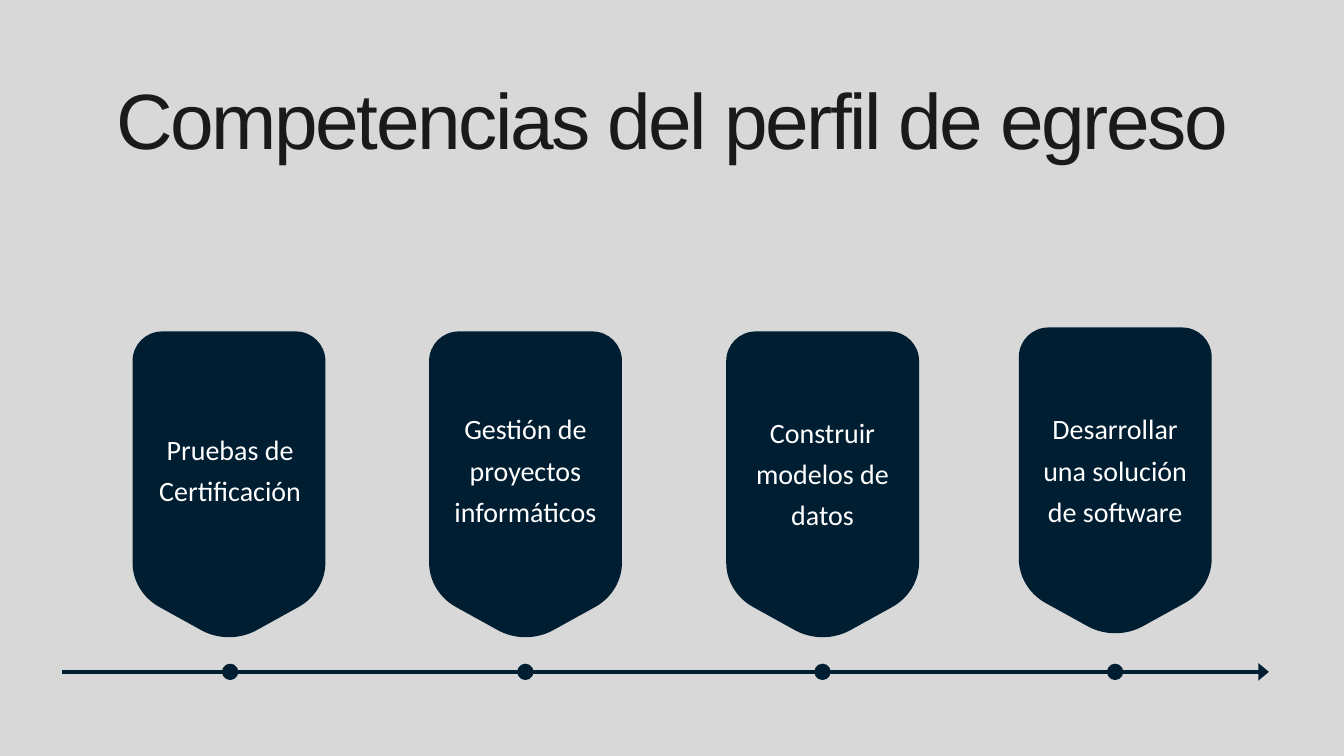
from dataclasses import dataclass

from lxml.etree import SubElement
from pptx import Presentation
from pptx.dml.color import RGBColor
from pptx.enum.shapes import MSO_CONNECTOR, MSO_SHAPE
from pptx.enum.text import PP_ALIGN
from pptx.oxml.ns import qn
from pptx.util import Cm, Pt


@dataclass(frozen=True)
class Theme:
    background: RGBColor = RGBColor(0xD8, 0xD8, 0xD8)
    navy: RGBColor = RGBColor(0x00, 0x1E, 0x32)
    title_format = {"name": "Arial", "size": Pt(84)}
    title_color: RGBColor = RGBColor(0x1A, 0x1A, 0x1A)
    label_format = {"name": "Calibri", "size": Pt(30)}
    label_color: RGBColor = RGBColor(0xFF, 0xFF, 0xFF)


THEME = Theme()
BADGE_WIDTH, BADGE_HEIGHT = 7.29, 11.56
DOT_SIZE = 0.62

# Text, badge left and top, centre of dot and label, label top, width and height
COMPETENCIES = [
    ("Pruebas de Certificación", 5.01, 12.53, 8.7, 16.05, 6.1, 3.02),
    ("Gestión de proyectos informáticos", 16.22, 12.53, 19.86, 15.29, 5.7, 4.55),
    ("Construir modelos de datos", 27.45, 12.53, 31.09, 15.43, 5.7, 4.55),
    ("Desarrollar una solución de software", 38.51, 12.38, 42.15, 15.29, 5.7, 4.55),
]


def paint(shape, color):
    shape.shadow.inherit = False
    shape.fill.solid()
    shape.fill.fore_color.rgb = color
    shape.line.fill.background()


def add_text(slide, box, text, font_format, color, line_spacing, tracking=None):
    text_box = slide.shapes.add_textbox(*map(Cm, box))
    frame = text_box.text_frame
    frame.word_wrap = True
    for side in ("left", "top", "right", "bottom"):
        setattr(frame, f"margin_{side}", 0)
    paragraph = frame.paragraphs[0]
    paragraph.alignment = PP_ALIGN.CENTER
    paragraph.line_spacing = Pt(line_spacing)
    run = paragraph.add_run()
    run.text = text
    for name, value in font_format.items():
        setattr(run.font, name, value)
    run.font.color.rgb = color
    if tracking:
        run._r.get_or_add_rPr().set("spc", str(tracking))


def add_curved_shape(slide, left, top, width, height, start, segments):
    """Closed outline; a segment of one point is a line, of three a curve."""
    builder = slide.shapes.build_freeform(Cm(left), Cm(top))
    builder.add_line_segments([(Cm(left + width), Cm(top)),
                               (Cm(left + width), Cm(top + height))])
    shape = builder.convert_to_shape()

    # Put the curved outline in the frame that the corners have set
    path = shape._element.spPr.find(".//" + qn("a:path"))
    for child in list(path):
        path.remove(child)
    commands = {1: "a:lnTo", 3: "a:cubicBezTo"}
    moves = [("a:moveTo", [start])]
    moves += [(commands[len(points)], points) for points in segments]
    for tag, points in moves:
        command = SubElement(path, qn(tag))
        for x, y in points:
            SubElement(command, qn("a:pt"), x=str(int(Cm(x))), y=str(int(Cm(y))))
    SubElement(path, qn("a:close"))
    return shape


def add_badge(slide, left, top):
    width, centre, radius, pull = BADGE_WIDTH, BADGE_WIDTH / 2, 1.12, 0.5
    shoulder, slope, tip = 8.74, 10.41, 11.32
    segments = [
        [(width, shoulder)],
        [(width, 9.42), (width - 0.38, 10.06), (width - 1, slope)],
        [(centre + 1, tip)],
        [(centre + 0.37, 11.64), (centre - 0.37, 11.64), (centre - 1, tip)],
        [(1, slope)],
        [(0.38, 10.06), (0, 9.42), (0, shoulder)],
        [(0, radius)],
        [(0, pull), (pull, 0), (radius, 0)],
        [(width - radius, 0)],
        [(width - pull, 0), (width, pull), (width, radius)],
    ]
    badge = add_curved_shape(slide, left, top, width, BADGE_HEIGHT,
                             (width, radius), segments)
    paint(badge, THEME.navy)


def add_competency(slide, text, left, top, centre, label_top, width, height):
    add_badge(slide, left, top)
    add_text(slide, (centre - width / 2, label_top, width, height), text,
             THEME.label_format, THEME.label_color, 44.1)


def add_timeline(slide, left, right, y, centres):
    axis = slide.shapes.add_connector(
        MSO_CONNECTOR.STRAIGHT, Cm(left), Cm(y), Cm(right), Cm(y))
    axis.line.color.rgb = THEME.navy
    axis.line.width = Pt(3.75)
    SubElement(axis.line._get_or_add_ln(), qn("a:tailEnd"),
               type="triangle", w="lg", len="med")
    SubElement(axis._element.spPr, qn("a:effectLst"))
    for centre in centres:
        dot = slide.shapes.add_shape(
            MSO_SHAPE.OVAL, Cm(centre - DOT_SIZE / 2), Cm(y - DOT_SIZE / 2),
            Cm(DOT_SIZE), Cm(DOT_SIZE))
        paint(dot, THEME.navy)


def main():
    presentation = Presentation()
    presentation.slide_width = Cm(50.8)
    presentation.slide_height = Cm(28.58)
    slide = presentation.slides.add_slide(presentation.slide_layouts[6])
    slide.background.fill.solid()
    slide.background.fill.fore_color.rgb = THEME.background

    # Timeline, with a dot under each badge
    centres = [centre for _, _, _, centre, *_ in COMPETENCIES]
    add_timeline(slide, 2.36, 47.96, 25.4, centres)

    # Title
    add_text(slide, (3.89, 3.2, 43.03, 3.2), "Competencias del perfil de egreso",
             THEME.title_format, THEME.title_color, 86.5, tracking=-260)

    # Competencies
    for competency in COMPETENCIES:
        add_competency(slide, *competency)

    presentation.save("out.pptx")


if __name__ == "__main__":
    main()
